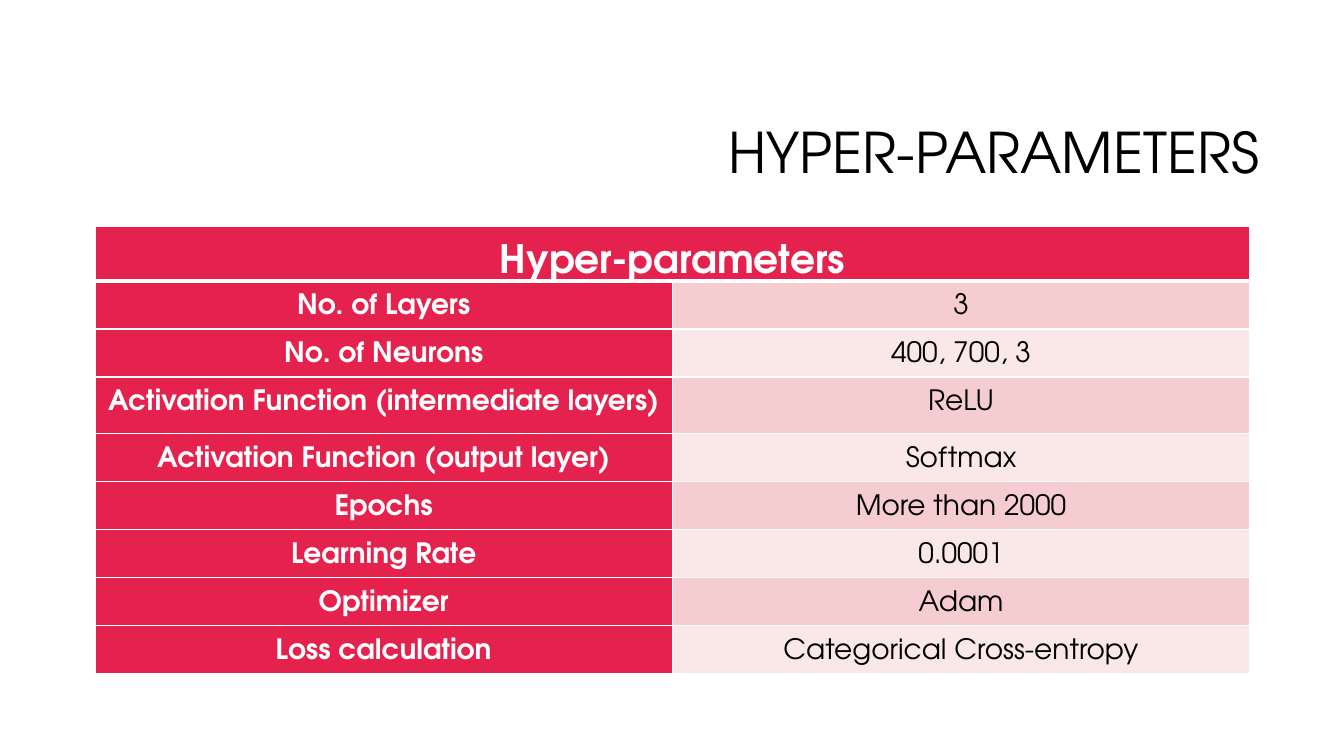
from lxml import etree
from pptx import Presentation
from pptx.dml.color import RGBColor
from pptx.enum.text import MSO_ANCHOR, MSO_AUTO_SIZE, PP_ALIGN
from pptx.oxml.ns import qn
from pptx.util import Pt

CENTER, RIGHT = PP_ALIGN.CENTER, PP_ALIGN.RIGHT
MIDDLE, TOP = MSO_ANCHOR.MIDDLE, MSO_ANCHOR.TOP
NO_AUTOFIT = MSO_AUTO_SIZE.NONE
FONT = "TeX Gyre Adventor"
WHITE, BLACK, RED = "FFFFFF", "000000", "E5224E"
BANDS = ("F5CDD0", "FAE8E9")
HEADING = "Hyper-parameters"
PARAMETERS = [
    ("No. of Layers", "3"),
    ("No. of Neurons", "400, 700, 3"),
    ("Activation Function (intermediate layers)", "ReLU"),
    ("Activation Function (output layer)", "Softmax"),
    ("Epochs", "More than 2000"),
    ("Learning Rate", "0.0001"),
    ("Optimizer", "Adam"),
    ("Loss calculation", "Categorical Cross-entropy"),
]
ROW_HEIGHT, TALL_ROW_HEIGHT, TALL_ROW = 34.3, 40.3, 3
COLUMN_WIDTH = 412.4


def color(value):
    """Return the colour for a hex string."""
    return RGBColor.from_string(value)


def format_text(tf, size, hex_color, align, spacing, bold=False):
    """Format the single paragraph of a text frame."""
    p = tf.paragraphs[0]
    p.alignment = align
    p.line_spacing = spacing
    for r in p.runs:
        r.font.name = FONT
        r.font.size = Pt(size)
        r.font.bold = bold
        r.font.color.rgb = color(hex_color)


def add_title(s, text):
    """Fill and place the title placeholder."""
    sp = s.shapes.title
    sp.left, sp.top, sp.width, sp.height = Pt(228.2), Pt(60.5), Pt(678.2), Pt(101.5)
    tf = sp.text_frame
    tf.text = text
    tf.word_wrap = True
    tf.auto_size = NO_AUTOFIT
    tf.vertical_anchor = MIDDLE
    format_text(tf, 40, BLACK, RIGHT, 0.9)


def set_borders(cell, bottom, top):
    """Draw white borders around a cell."""
    tc_pr = cell._tc.get_or_add_tcPr()
    for side, width in (("L", 1), ("R", 1), ("T", top), ("B", bottom)):
        ln = etree.SubElement(tc_pr, qn(f"a:ln{side}"), w=str(Pt(width)))
        fill = etree.SubElement(ln, qn("a:solidFill"))
        etree.SubElement(fill, qn("a:srgbClr"), val=WHITE)


def fill_cell(cell, text, fill, hex_color, size=20, bold=True, top=1, bottom=1):
    """Write and style one table cell."""
    set_borders(cell, bottom, top)
    cell.fill.solid()
    cell.fill.fore_color.rgb = color(fill)
    cell.margin_left = cell.margin_right = Pt(5)
    cell.margin_top = cell.margin_bottom = Pt(0)
    cell.vertical_anchor = TOP
    cell.text_frame.text = text
    format_text(cell.text_frame, size, hex_color, CENTER, 1.5, bold)


def add_parameter_table(s):
    """Add the table with its merged heading and banded values."""
    count = len(PARAMETERS) + 1
    height = ROW_HEIGHT * (count - 1) + TALL_ROW_HEIGHT
    frame = s.shapes.add_table(count, 2, Pt(67.9), Pt(162), Pt(2 * COLUMN_WIDTH), Pt(height))
    table = frame.table
    for column in table.columns:
        column.width = Pt(COLUMN_WIDTH)
    for i, row in enumerate(table.rows):
        row.height = Pt(TALL_ROW_HEIGHT if i == TALL_ROW else ROW_HEIGHT)
    table.cell(0, 0).merge(table.cell(0, 1))
    for j, text in enumerate((HEADING, "")):
        fill_cell(table.cell(0, j), text, RED, WHITE, size=28, bottom=3)
    for i, (name, value) in enumerate(PARAMETERS, start=1):
        top = 3 if i == 1 else 1
        fill_cell(table.cell(i, 0), name, RED, WHITE, top=top)
        fill_cell(table.cell(i, 1), value, BANDS[(i - 1) % 2], BLACK, bold=False, top=top)


def main():
    """Build the slide and save it."""
    prs = Presentation()
    prs.slide_width, prs.slide_height = Pt(960), Pt(540)
    s = prs.slides.add_slide(prs.slide_layouts[5])
    add_title(s, "HYPER-PARAMETERS")
    add_parameter_table(s)
    prs.save("out.pptx")


if __name__ == "__main__":
    main()
